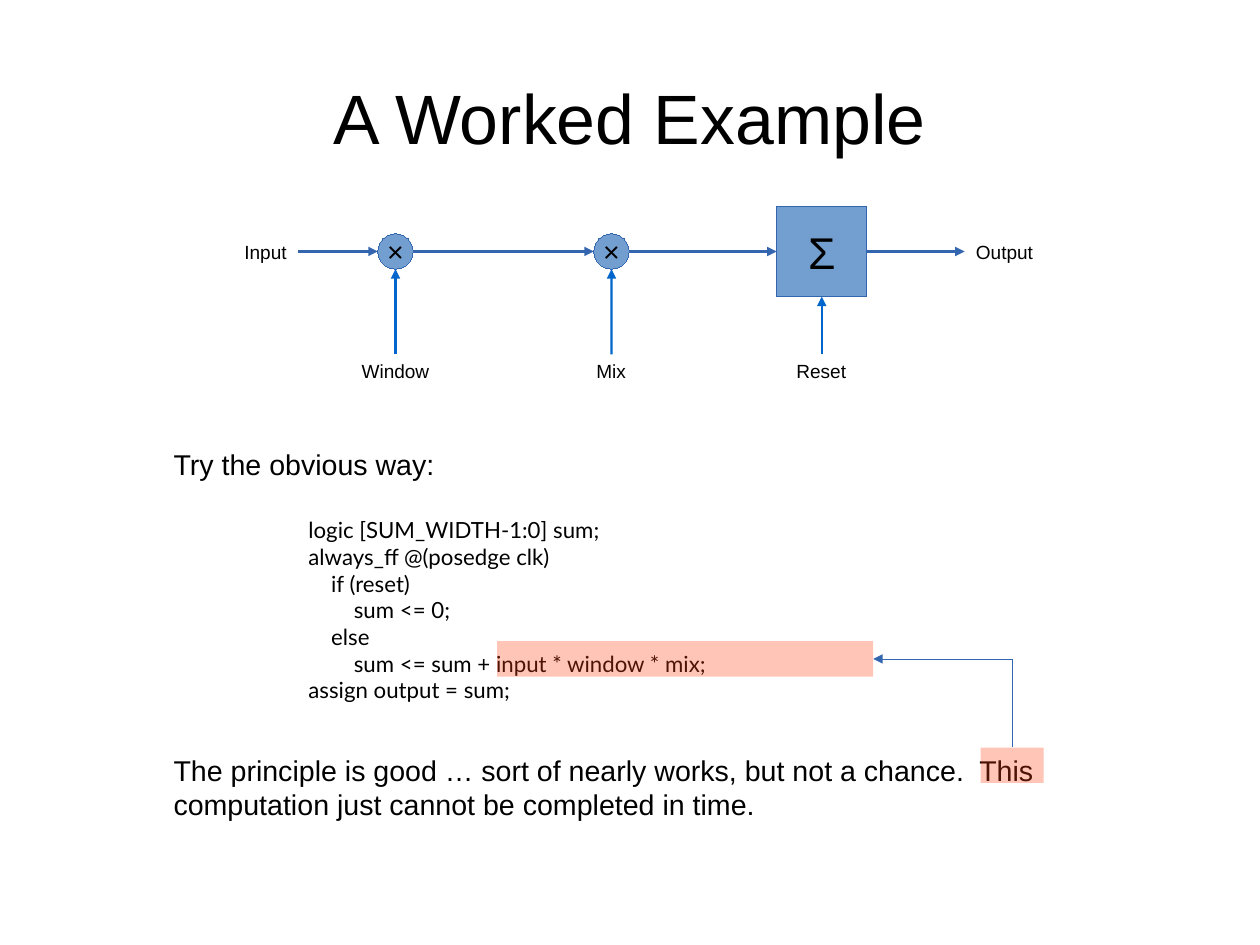
from lxml import etree
from pptx import Presentation
from pptx import util as u
from pptx.dml.color import RGBColor
from pptx.enum import shapes, text
from pptx.oxml import ns

BLACK = RGBColor(0x00, 0x00, 0x00)
NODE_BLUE = RGBColor(0x72, 0x9F, 0xCF)
FLOW_BLUE = RGBColor(0x34, 0x65, 0xAF)
CONTROL_BLUE = RGBColor(0x00, 0x66, 0xCC)
HIGHLIGHT = RGBColor(0xFF, 0x42, 0x0E)

TITLE = "A Worked Example"
INTRO = "Try the obvious way:"
CODE = [
    "logic [SUM_WIDTH-1:0] sum;",
    "always_ff @(posedge clk)",
    "    if (reset)",
    "        sum <= 0;",
    "    else",
    "        sum <= sum + input * window * mix;",
    "assign output = sum;",
]
VERDICT = ("The principle is good … sort of nearly works, but not a chance.  "
           "This computation just cannot be completed in time.")

OVAL = shapes.MSO_SHAPE.OVAL
RECTANGLE = shapes.MSO_SHAPE.RECTANGLE
NODES = [
    ("×", OVAL, 3.46, 0.31, 18, "Window", 0.79),
    ("×", OVAL, 5.35, 0.31, 18, "Mix", 0.46),
    ("Σ", RECTANGLE, 7.19, 0.79, 28, "Reset", 0.64),
]
INPUT = ("Input", 2.04, 0.57)
OUTPUT = ("Output", 8.44, 0.7)
HIGHLIGHTS = [(4.35, 5.61, 3.29, 0.31), (8.58, 6.54, 0.55, 0.31)]

FLOW_Y = 2.2
LABEL_HEIGHT = 0.29
CONTROL_Y = 3.1
FLOW_WIDTH = 1.42
HAIRLINE = 0
TOP, LEFT, BOTTOM, RIGHT = range(4)

deck = Presentation()
deck.slide_width = u.Cm(28)
deck.slide_height = u.Cm(21)
page = deck.slides.add_slide(deck.slide_layouts[6])


def write(box, lines, size, font="Arial", align=text.PP_ALIGN.LEFT,
          anchor=text.MSO_ANCHOR.TOP, wrap=False, inset=None):
    frame = box.text_frame
    frame.word_wrap = wrap
    frame.vertical_anchor = anchor
    if inset is not None:
        frame.margin_left = frame.margin_right = u.Inches(inset)
        frame.margin_top = frame.margin_bottom = u.Inches(inset)
    for index, line in enumerate(lines):
        para = frame.add_paragraph() if index else frame.paragraphs[0]
        para.alignment = align
        span = para.add_run()
        span.text = line
        span.font.size = u.Pt(size)
        span.font.name = font
        span.font.color.rgb = BLACK


def add_text(place, lines, size, **style):
    box = page.shapes.add_textbox(*map(u.Inches, place))
    write(box, lines, size, **style)
    return box


def add_block(kind, place, color):
    block = page.shapes.add_shape(kind, *map(u.Inches, place))
    block.shadow.inherit = False
    block.fill.solid()
    block.fill.fore_color.rgb = color
    return block


def draw_line(shape, color, width):
    shape.line.color.rgb = color
    outline = shape._element.spPr.find(ns.qn("a:ln"))
    outline.set("w", str(int(u.Pt(width))))
    return outline


def add_arrow(start, end, color, width, kind=shapes.MSO_CONNECTOR.STRAIGHT):
    arrow = page.shapes.add_connector(kind, *map(u.Inches, start + end))
    outline = draw_line(arrow, color, width)
    etree.SubElement(outline, ns.qn("a:tailEnd"), type="triangle")
    etree.SubElement(arrow._element.spPr, ns.qn("a:effectLst"))
    return arrow


def join(arrow, source=None, target=None):
    if source:
        arrow.begin_connect(*source)
    if target:
        arrow.end_connect(*target)


def add_label(name, left, width, top):
    return add_text((left, top, width, LABEL_HEIGHT), [name], 12)


def add_corner_arrow(start, end, color, width):
    across, down = abs(end[0] - start[0]), abs(end[1] - start[1])
    middle_x, middle_y = (start[0] + end[0]) / 2, (start[1] + end[1]) / 2
    arrow = add_arrow((middle_x - down / 2, middle_y + across / 2),
                      (middle_x + down / 2, middle_y - across / 2),
                      color, width, shapes.MSO_CONNECTOR.ELBOW)
    properties = arrow._element.spPr
    properties.find(ns.qn("a:prstGeom")).set("prst", "bentConnector2")
    properties.find(ns.qn("a:xfrm")).set("rot", str(270 * 60000))


add_text((0.55, 0.33, 9.92, 1.38), [TITLE], 44, align=text.PP_ALIGN.CENTER,
         anchor=text.MSO_ANCHOR.MIDDLE, wrap=True, inset=0)
add_text((1.42, 3.86, 2.49, 0.38), [INTRO], 18)
add_text((2.6, 4.47, 5.13, 1.7), CODE, 14, font="Lato")
add_text((1.42, 6.54, 8.27, 0.66), [VERDICT], 18, wrap=True)

label_top = FLOW_Y - LABEL_HEIGHT / 2
source = (add_label(*INPUT, label_top), RIGHT)
flow_x = INPUT[1] + INPUT[2]
for symbol, kind, center, size, points, control, label_width in NODES:
    left, bottom = center - size / 2, FLOW_Y + size / 2
    node = add_block(kind, (left, FLOW_Y - size / 2, size, size), NODE_BLUE)
    draw_line(node, FLOW_BLUE, HAIRLINE)
    write(node, [symbol], points, align=text.PP_ALIGN.CENTER,
          anchor=text.MSO_ANCHOR.MIDDLE)
    square = kind == RECTANGLE
    flow = add_arrow((flow_x, FLOW_Y), (left, FLOW_Y), FLOW_BLUE, FLOW_WIDTH)
    join(flow, source, (node, LEFT) if square else None)
    label = add_label(control, center - label_width / 2, label_width, CONTROL_Y)
    rise = add_arrow((center, CONTROL_Y), (center, bottom), CONTROL_BLUE, FLOW_WIDTH)
    join(rise, (label, TOP), (node, BOTTOM) if square else None)
    source = (node, RIGHT) if square else None
    flow_x = left + size

result = add_label(*OUTPUT, label_top)
flow = add_arrow((flow_x, FLOW_Y), (OUTPUT[1], FLOW_Y), FLOW_BLUE, FLOW_WIDTH)
join(flow, source, (result, LEFT))

for place in HIGHLIGHTS:
    marker = add_block(RECTANGLE, place, HIGHLIGHT)
    marker.line.fill.background()
    color = marker._element.spPr.find(".//" + ns.qn("a:srgbClr"))
    etree.SubElement(color, ns.qn("a:alpha"), val="30000")

(code_x, code_y, code_width, code_height), (word_x, word_y, word_width, _) = HIGHLIGHTS
add_corner_arrow((word_x + word_width / 2, word_y),
                 (code_x + code_width, code_y + code_height / 2), FLOW_BLUE, HAIRLINE)

deck.save("out.pptx")
